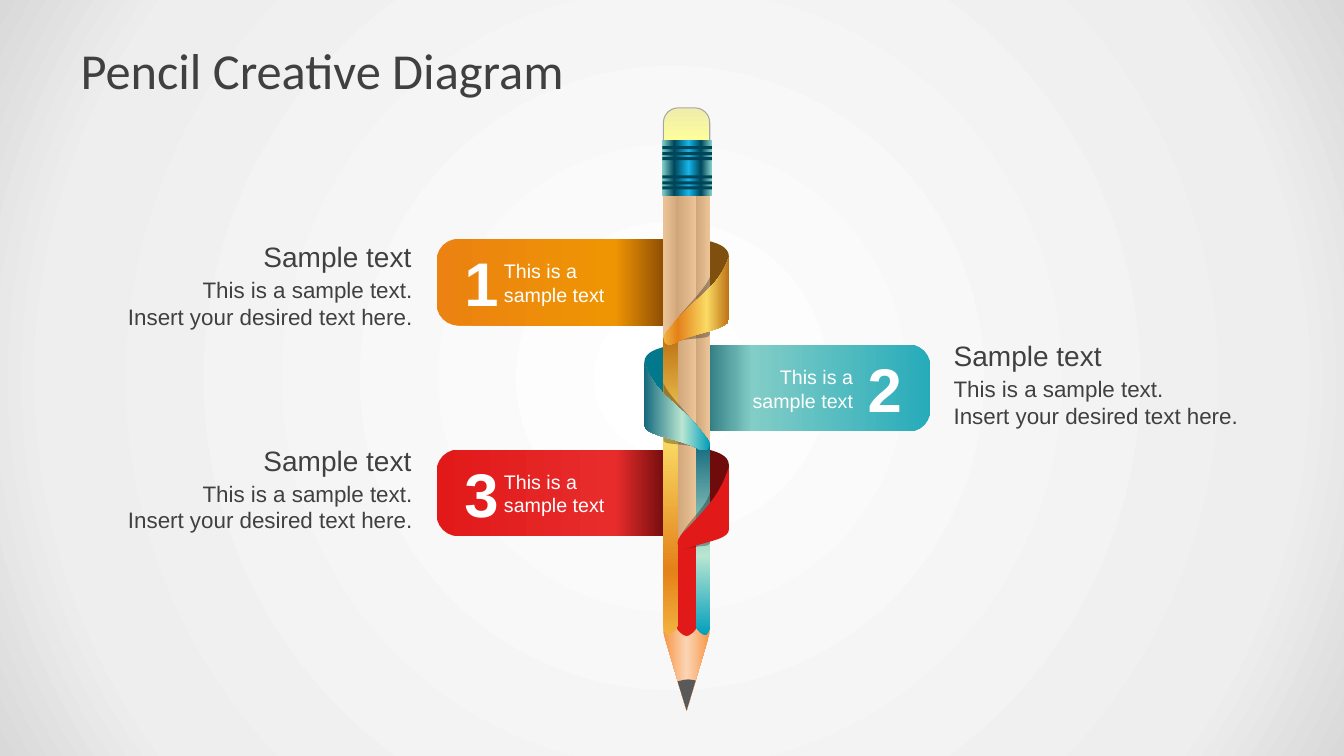
from lxml.etree import SubElement
from pptx import Presentation
from pptx.dml.color import RGBColor
from pptx.enum.shapes import MSO_SHAPE as Preset
from pptx.enum.text import MSO_ANCHOR as Anchor, MSO_AUTO_SIZE as AutoSize, PP_ALIGN as Align
from pptx.oxml.ns import qn
from pptx.util import Pt

PX = 9144
AXIS, PENCIL_TOP = 681, 100

WHITE = RGBColor(0xFF, 0xFF, 0xFF)
BLACK = RGBColor(0x00, 0x00, 0x00)
INK = RGBColor(0x40, 0x40, 0x40)
SILVER = RGBColor(0xEE, 0xEE, 0xEE)
EDGE_GREY = RGBColor(0xD9, 0xD9, 0xD9)
ERASER_LINE = RGBColor(0xA6, 0xA6, 0xA6)
GRAPHITE = RGBColor(0x59, 0x59, 0x59)
NAVY = RGBColor(0x00, 0x46, 0x5B)
BLUE = RGBColor(0x15, 0xB5, 0xE9)
AQUA = RGBColor(0x82, 0xCD, 0xC7)
RED = RGBColor(0xE1, 0x19, 0x19)
RED_LIGHT = RGBColor(0xE8, 0x2C, 0x2C)
RED_DARK = RGBColor(0x6E, 0x0C, 0x0C)
TEAL = RGBColor(0x26, 0xAB, 0xBA)
TEAL_DARK = RGBColor(0x22, 0x6D, 0x75)
TEAL_BACK = RGBColor(0x02, 0x78, 0x8C)
ORANGE = RGBColor(0xEB, 0x82, 0x11)
ORANGE_LIGHT = RGBColor(0xEF, 0x95, 0x03)
ORANGE_DARK = RGBColor(0x88, 0x49, 0x03)
ORANGE_BACK = RGBColor(0x7F, 0x4F, 0x0F)
CONE_EDGE = RGBColor(0xF7, 0x96, 0x46)
CONE_MIDDLE = RGBColor(0xFC, 0xD5, 0xB5)
ERASER_TOP = RGBColor(0xF0, 0xEE, 0xAA)
ERASER_BASE = RGBColor(0xFF, 0xFF, 0x99)

WOOD = [(0, RGBColor(0xD0, 0xA5, 0x7A)), (100, RGBColor(0xEB, 0xC5, 0x98))]
GOLD_FOIL = [(0, RGBColor(0xF2, 0xB3, 0x40)), (22, RGBColor(0xE4, 0x81, 0x19)),
             (66, RGBColor(0xF9, 0xDA, 0x63)), (100, RGBColor(0xBE, 0x73, 0x15))]
TEAL_FOIL = [(0, RGBColor(0x00, 0x9E, 0xBB)), (42, RGBColor(0xB9, 0xE6, 0xD1)),
             (100, RGBColor(0x16, 0x6A, 0x7E))]

BACK = [(42, 18), (42, 7, 29, 4, 18, 1), (18, 71), (26, 53, 42, 41, 42, 18)]
SHADE = [(-17, 90), (-6, 72, 18, 51, 23, 38), (23, 95), (22, 100, 6, 97, -17, 103)]
FRONT = [(-17, 89), (5, 59, 32, 50, 42, 18), (42, 79), (42, 91, 8, 92, -13, 104),
         (-23, 107, -22, 101, -23, 98), (-23, 96, -20, 92, -17, 89)]
LAST_SHADE = [(-8, 92), (-1, 75, 19, 60, 23, 45), (23, 95), (22, 99, 16, 96, -2, 101)]
LAST_FRONT = [(42, 19), (42, 81), (42, 90, 26, 92, 7, 98), (-2, 101), (-5, 100, -8, 98, -9, 96),
              (-9, 88, -3, 84, 1, 80), (21, 58, 33, 47, 42, 19)]

BANNERS = [
    dict(number="1", left=433, top=237, wrap_top=237, side=1, back=ORANGE_BACK,
         stops=[(0, ORANGE), (69, ORANGE_LIGHT), (89, ORANGE_DARK)], caption=(106, 233)),
    dict(number="2", left=666, top=342, wrap_top=342, side=-1, back=TEAL_BACK,
         stops=[(0, TEAL), (69, AQUA), (89, TEAL_DARK)], caption=(936, 331)),
    dict(number="3", left=433, top=446, wrap_top=444, side=1, back=RED_DARK,
         stops=[(0, RED), (69, RED_LIGHT), (89, RED_DARK)], caption=(106, 435)),
]


def px(*lengths):
    """Turn px lengths into EMU."""
    return [round(length * PX) for length in lengths]


def blend(owner, fill, stops, angle=0):
    """Fill with gradient stops and return the gradient element."""
    fill.gradient()
    fill.gradient_angle = -angle % 360
    gradient = next(owner._element.iter(qn("a:gradFill")))
    stop_list = gradient.find(qn("a:gsLst"))
    for old_stop in list(stop_list):
        stop_list.remove(old_stop)
    for percent, color in stops:
        stop = SubElement(stop_list, qn("a:gs"), pos=str(percent * 1000))
        SubElement(stop, qn("a:srgbClr"), val=str(color))
    return gradient


def paint(shape, look, angle=0):
    """Give a shape a plain colour or gradient, with no line or shadow."""
    shape.shadow.inherit = False
    shape.line.fill.background()
    if isinstance(look, list):
        blend(shape, shape.fill, look, angle)
    else:
        shape.fill.solid()
        shape.fill.fore_color.rgb = look
    return shape


def block(slide, preset, box, look, angle=0):
    """Place a painted preset shape."""
    return paint(slide.shapes.add_shape(preset, *px(*box)), look, angle)


def bend(shape, segments):
    """Turn each three line steps of a curved segment into one cubic curve."""
    trace = next(shape._element.iter(qn("a:path")))
    steps = iter(trace.findall(qn("a:lnTo")))
    for segment in segments:
        first = next(steps)
        if len(segment) == 6:
            curve = SubElement(trace, qn("a:cubicBezTo"))
            first.addprevious(curve)
            for step in (first, next(steps), next(steps)):
                curve.append(step[0])
                trace.remove(step)


def outline(slide, axis, top, segments, look, angle=0, side=1):
    """Draw a closed outline about an axis; side -1 mirrors it."""
    placed = [tuple(px(axis + side * segment[i], top + segment[i + 1]))
              for segment in segments for i in range(0, len(segment), 2)]
    builder = slide.shapes.build_freeform(*placed[0])
    builder.add_line_segments(placed[1:], close=True)
    shape = builder.convert_to_shape()
    bend(shape, segments[1:])
    return paint(shape, look, angle)


def shade(slide, axis, top, segments, side=1):
    """Cast a translucent ribbon shadow."""
    shadow = outline(slide, axis, top, segments, BLACK, side=side)
    color = next(shadow._element.spPr.iter(qn("a:srgbClr")))
    SubElement(color, qn("a:alpha"), val="30000")


def edge_strip(top):
    """Outline the right face of the pencil from a given height."""
    return [(23, 521), (23, top), (9, top), (9, 521),
            (10, 525, 17, 531, 19, 530), (21, 529, 23, 525, 23, 521)]


def core_strip(top):
    """Outline the middle face of the pencil from a given height."""
    return [(-10, top), (10, top), (10, 522), (10, 525, 3, 531, 0, 531),
            (-3, 531, -10, 525, -10, 522)]


def pencil(slide, axis, top):
    """Draw the pencil about its axis."""
    outline(slide, axis, top, [(-23, 528), (-23, 495), (23, 495), (23, 528), (0, 605)],
            [(0, CONE_EDGE), (50, CONE_MIDDLE), (100, CONE_EDGE)])
    outline(slide, axis, top, [(-23, 92), (-8, 92), (-8, 468), (-23, 468)], WOOD, 180)
    outline(slide, axis, top, edge_strip(92), WOOD)
    eraser = block(slide, Preset.ROUND_2_SAME_RECTANGLE, (axis - 23, top + 7, 46, 37),
                   [(0, ERASER_TOP), (100, ERASER_BASE)], 90)
    eraser.adjustments[0] = 0.4
    eraser.line.color.rgb = ERASER_LINE
    eraser.line.width = Pt(0.75)
    outline(slide, axis, top, core_strip(92), WOOD)
    outline(slide, axis, top, [(-9, 576), (-5, 575, -2, 574, 2, 574), (9, 575), (0, 605)],
            GRAPHITE)
    block(slide, Preset.RECTANGLE, (axis - 24, top + 39, 49, 56),
          [(0, AQUA), (22, NAVY), (47, BLUE), (76, NAVY), (100, AQUA)], 180)
    for group in (45, 74):
        for ring in (0, 6, 11):
            block(slide, Preset.RECTANGLE, (axis - 24, top + group + ring, 49, 3), NAVY)
    outline(slide, axis, top, core_strip(440), RED)


def ribbons(slide, axis, top):
    """Wrap the three ribbons round the pencil."""
    for banner, foil, strip_top in zip(BANNERS, (GOLD_FOIL, TEAL_FOIL), (235, 340)):
        side, wrap_top = banner["side"], banner["wrap_top"]
        shade(slide, axis, wrap_top, SHADE, side)
        outline(slide, axis, top, edge_strip(strip_top), foil, 270, -side)
        outline(slide, axis, wrap_top, FRONT, foil, 0 if side == 1 else 180, side)
    last_top = BANNERS[-1]["wrap_top"]
    shade(slide, axis, last_top, LAST_SHADE)
    outline(slide, axis, last_top, LAST_FRONT, RED)


def write(slide, box, lines, size, color=INK, align=Align.LEFT, face="Arial", bold=False, **frame):
    """Place lines of text in a box."""
    text = slide.shapes.add_textbox(*px(*box)).text_frame
    layout = dict(word_wrap=True, auto_size=AutoSize.SHAPE_TO_FIT_TEXT)
    for name, value in (layout | frame).items():
        setattr(text, name, value)
    text.text = "\n".join(lines)
    for paragraph in text.paragraphs:
        paragraph.alignment = align
        for name, value in dict(name=face, size=Pt(size), bold=bold).items():
            setattr(paragraph.font, name, value)
        paragraph.font.color.rgb = color


def banner_text(slide, left, top, number, side):
    """Write the number and the short text on a banner."""
    number_x, text_x = (17, 57) if side == 1 else (184, 65)
    write(slide, (left + number_x, top + 1, 55, 84), [number], 44, WHITE, Align.CENTER,
          bold=True, word_wrap=False, vertical_anchor=Anchor.MIDDLE)
    write(slide, (left + text_x, top + 15, 125, 57), ["This is a sample text"], 14, WHITE,
          Align.LEFT if side == 1 else Align.RIGHT, vertical_anchor=Anchor.MIDDLE)


def caption(slide, left, top, align):
    """Write the heading and description beside a banner."""
    write(slide, (left, top + 36, 313, 64),
          ["This is a sample text.", "Insert your desired text here."], 16, align=align,
          word_wrap=False)
    write(slide, (left, top, 312, 44), ["Sample text"], 20, align=align)


def main():
    """Build and save the slide."""
    deck = Presentation()
    deck.slide_width, deck.slide_height = px(1333, 750)
    slide = deck.slides.add_slide(deck.slide_layouts[6])
    glow = blend(slide.background, slide.background.fill,
                 [(0, WHITE), (81, SILVER), (100, EDGE_GREY)])
    glow.remove(glow.find(qn("a:lin")))
    center = SubElement(glow, qn("a:path"), path="circle")
    SubElement(center, qn("a:fillToRect"), dict.fromkeys("ltrb", "50000"))

    for banner in reversed(BANNERS):
        pill = block(slide, Preset.ROUNDED_RECTANGLE, (banner["left"], banner["top"], 257, 86),
                     banner["stops"], 0 if banner["side"] == 1 else 180)
        pill.adjustments[0] = 0.25
    for banner in reversed(BANNERS):
        outline(slide, AXIS, banner["wrap_top"], BACK, banner["back"], side=banner["side"])
    pencil(slide, AXIS, PENCIL_TOP)
    ribbons(slide, AXIS, PENCIL_TOP)
    for banner in BANNERS:
        banner_text(slide, banner["left"], banner["top"], banner["number"], banner["side"])
        caption(slide, *banner["caption"], Align.RIGHT if banner["side"] == 1 else Align.LEFT)
    side_inset, end_inset = px(13, 7)
    write(slide, (67, 30, 1200, 78), ["Pencil Creative Diagram"], 36, face="Calibri",
          auto_size=AutoSize.NONE, vertical_anchor=Anchor.MIDDLE, margin_left=side_inset,
          margin_right=side_inset, margin_top=end_inset, margin_bottom=end_inset)
    deck.save("out.pptx")


if __name__ == "__main__":
    main()
